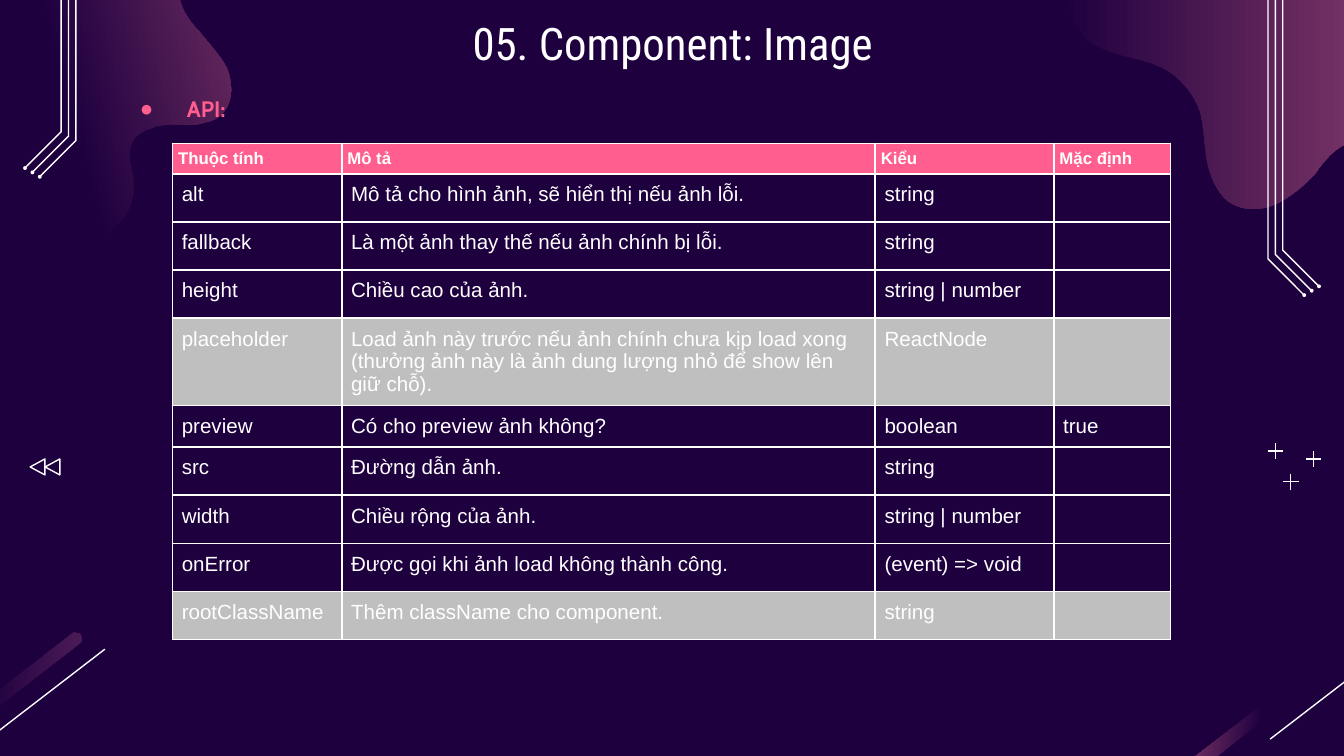
from lxml import etree
from pptx import Presentation
from pptx.dml.color import RGBColor
from pptx.enum.shapes import MSO_CONNECTOR, MSO_SHAPE
from pptx.enum.text import MSO_ANCHOR, MSO_AUTO_SIZE, PP_ALIGN
from pptx.oxml.ns import qn
from pptx.util import Pt

LEFT, CENTER = PP_ALIGN.LEFT, PP_ALIGN.CENTER
TOP, MIDDLE = MSO_ANCHOR.TOP, MSO_ANCHOR.MIDDLE
STRAIGHT, OVAL, TRIANGLE = MSO_CONNECTOR.STRAIGHT, MSO_SHAPE.OVAL, MSO_SHAPE.ISOSCELES_TRIANGLE

NIGHT, PINK, MAUVE, PLUM = "1E003F", "FF5E8E", "A64D79", "4A1A55"
WHITE, GREY = "FFFFFF", "BFBFBF"
UNIT = 0.72  # points per unit of the outlines below
CURVE_STEPS = 8

# Outlines: a start point, then curves (six numbers) and lines (two numbers)
LEFT_BLOB = [
    (48, 190), (74, 183, 86, 169, 90, 165), (98, 156, 101, 143, 99, 131),
    (98, 124, 95, 117, 97, 111), (98, 102, 106, 97, 114, 95), (115, 94, 115, 94, 116, 94),
    (124, 92, 133, 93, 142, 93), (146, 93, 150, 92, 153, 91), (158, 90, 163, 88, 166, 84),
    (174, 75, 173, 61, 169, 51), (164, 41, 155, 32, 148, 23), (140, 15, 133, 4, 133, -7),
    (133, -16, 136, -25, 143, -31), (147, -35, 153, -38, 159, -39),
    (168, -42, 179, -42, 190, -41), (201, -41, 212, -40, 223, -42),
    (225, -43, 226, -43, 228, -43), (237, -46, 246, -51, 252, -58),
    (259, -66, 261, -78, 258, -87), (256, -105, 244, -125, 233, -134),
    (215, -150, 190, -155, 167, -151), (166, -150, 165, -150, 164, -150),
    (129, -140, 103, -110, 70, -95), (65, -93, 59, -91, 54, -90),
    (22, -81, -13, -85, -47, -82), (-62, -81, -77, -78, -91, -74),
    (-104, -71, -116, -67, -128, -61), (-145, -54, -162, -44, -174, -30),
    (-186, -17, -195, 2, -194, 22), (-193, 46, -176, 68, -156, 80),
    (-135, 93, -112, 97, -88, 99), (-74, 101, -60, 101, -46, 106),
    (-32, 110, -19, 119, -13, 133), (-8, 144, -8, 155, -3, 166), (6, 184, 29, 195, 47, 190),
]
RIGHT_BLOB = [
    (1125, 38), (1125, 13, 1118, -13, 1105, -35), (1094, -54, 1078, -70, 1058, -77),
    (1036, -85, 1012, -81, 989, -84), (967, -87, 945, -97, 929, -113),
    (918, -123, 909, -135, 897, -141), (883, -148, 867, -146, 852, -143),
    (840, -140, 828, -136, 819, -129), (803, -117, 796, -97, 793, -78),
    (790, -65, 789, -51, 789, -38), (789, -31, 789, -24, 790, -18),
    (791, 0, 796, 18, 809, 30), (825, 42, 847, 42, 864, 50), (878, 57, 888, 69, 893, 83),
    (896, 94, 896, 107, 898, 119), (900, 130, 905, 143, 914, 150),
    (924, 157, 938, 157, 949, 152), (960, 147, 969, 139, 978, 130),
    (983, 123, 988, 116, 995, 111), (1002, 106, 1010, 103, 1018, 106),
    (1033, 110, 1038, 130, 1052, 138), (1085, 157, 1108, 112, 1117, 88),
    (1122, 72, 1125, 55, 1125, 38),
]
STREAK = [
    (56, 471), (57, 471, 59, 471, 60, 472), (61, 475, 61, 478, 59, 479), (-81, 588),
    (-84, 589, -87, 589, -88, 587), (-90, 585, -90, 582, -87, 580), (53, 472),
    (54, 471, 55, 470, 56, 471),
]

COLUMN_WIDTHS = [90.7, 285.8, 95.7, 62.5]
HEADER = ("Thuộc tính", "Mô tả", "Kiểu", "Mặc định")
ROW_HEIGHT = 25.8
ROWS = [
    ("alt", "Mô tả cho hình ảnh, sẽ hiển thị nếu ảnh lỗi.", "string", ""),
    ("fallback", "Là một ảnh thay thế nếu ảnh chính bị lỗi.", "string", ""),
    ("height", "Chiều cao của ảnh.", "string | number", ""),
    ("placeholder", "Load ảnh này trước nếu ảnh chính chưa kịp load xong (thưởng ảnh này là "
     "ảnh dung lượng nhỏ để show lên giữ chỗ).", "ReactNode", ""),
    ("preview", "Có cho preview ảnh không?", "boolean", "true"),
    ("src", "Đường dẫn ảnh.", "string", ""),
    ("width", "Chiều rộng của ảnh.", "string | number", ""),
    ("onError", "Được gọi khi ảnh load không thành công.", "(event) => void", ""),
    ("rootClassName", "Thêm className cho component.", "string", ""),
]
SPECIAL_HEIGHTS = {"placeholder": 46.6, "preview": 22.2}
GREY_ROWS = {"placeholder", "rootClassName"}


def color(value):
    return RGBColor.from_string(value)


def add_text(paragraph, text, size=11, font="Arial", fill=WHITE, bold=False, align=LEFT):
    paragraph.alignment = align
    run = paragraph.add_run()
    run.text = text
    run.font.size, run.font.name, run.font.bold = Pt(size), font, bold
    run.font.color.rgb = color(fill)


def outline_points(outline, shift):
    points = [outline[0]]
    for segment in outline[1:]:
        if len(segment) == 2:
            points.append(segment)
            continue
        x0, y0 = points[-1]
        x1, y1, x2, y2, x3, y3 = segment
        for step in range(1, CURVE_STEPS + 1):
            t = step / CURVE_STEPS
            a, b, c, d = (1 - t) ** 3, 3 * t * (1 - t) ** 2, 3 * t * t * (1 - t), t ** 3
            points.append((a * x0 + b * x1 + c * x2 + d * x3, a * y0 + b * y1 + c * y2 + d * y3))
    return [((x + shift) * UNIT, y * UNIT) for x, y in points]


def add_freeform(slide, points, close=True):
    points = [(Pt(x), Pt(y)) for x, y in points]
    builder = slide.shapes.build_freeform(*points[0])
    builder.add_line_segments(points[1:], close=close)
    shape = builder.convert_to_shape()
    shape.shadow.inherit = False
    return shape


def add_gradient_outline(slide, outline, angle, middle=0.5, end=MAUVE, shift=0):
    shape = add_freeform(slide, outline_points(outline, shift))
    shape.line.fill.background()
    shape.fill.gradient()
    shape.fill.gradient_angle = angle
    for stop, position, value in zip(shape.fill.gradient_stops, (middle, 1), (NIGHT, end)):
        stop.position = position
        stop.color.rgb = color(value)


def set_white_line(shape):
    shape.line.color.rgb = color(WHITE)
    shape.line.width = Pt(0.75)


def add_line(slide, x1, y1, x2, y2):
    line = slide.shapes.add_connector(STRAIGHT, Pt(x1), Pt(y1), Pt(x2), Pt(y2))
    set_white_line(line)
    etree.SubElement(line.element.spPr, qn("a:effectLst"))


def add_circuit(slide, mirrored, rise):
    """Three parallel tracks that bend outwards and end in dots."""
    for index in range(3):
        x, bend = 687.2 - 3.95 * index, 134 + 2.35 * index
        track = [(x, -85.7), (x, bend), (x + 19.4, bend + 19.4)]
        track = [(720 - px if mirrored else px, py - rise) for px, py in track]
        shape = add_freeform(slide, track, close=False)
        shape.fill.background()
        set_white_line(shape)
        end_x, end_y = track[-1]
        dot = slide.shapes.add_shape(OVAL, Pt(end_x - 1), Pt(end_y - 1), Pt(2), Pt(2))
        dot.shadow.inherit = False
        dot.fill.solid()
        dot.fill.fore_color.rgb = color(WHITE)
        dot.line.fill.background()


def add_decoration(slide):
    # Gradient blobs and corner streaks
    add_gradient_outline(slide, LEFT_BLOB, 15)
    add_gradient_outline(slide, RIGHT_BLOB, 0, middle=0)
    for shift, angle, end in ((0, 0, PLUM), (954, 173, MAUVE)):
        add_gradient_outline(slide, STREAK, angle, end=end, shift=shift)
        offset = shift * UNIT
        add_line(slide, 56.2 + offset, 347.8, -6.5 + offset, 396)
    # Circuit tracks
    add_circuit(slide, mirrored=False, rise=0)
    add_circuit(slide, mirrored=True, rise=63.4)
    # Plus signs
    for x, y in ((691.5, 258.1), (703.6, 245.9), (683.3, 241.6)):
        add_line(slide, x - 4.2, y, x + 4.2, y)
        add_line(slide, x, y - 4.2, x, y + 4.2)
    # Rewind arrows
    for x in (15.8, 23.8):
        arrow = slide.shapes.add_shape(TRIANGLE, Pt(x), Pt(246.2), Pt(8.6), Pt(7.9))
        arrow.rotation = 270
        arrow.shadow.inherit = False
        arrow.fill.background()
        set_white_line(arrow)


def place_placeholder(shape, left, top, width, height, anchor):
    shape.left, shape.top, shape.width, shape.height = Pt(left), Pt(top), Pt(width), Pt(height)
    frame = shape.text_frame
    frame.word_wrap, frame.auto_size, frame.vertical_anchor = True, MSO_AUTO_SIZE.NONE, anchor
    frame.margin_left = frame.margin_right = frame.margin_top = frame.margin_bottom = Pt(7.2)
    shape.element.getparent().append(shape.element)  # bring in front of the decoration
    paragraph = frame.paragraphs[0]
    paragraph.space_before = Pt(0)
    return paragraph


def add_bullet(paragraph, character, value):
    properties = paragraph._p.get_or_add_pPr()
    properties.set("marL", str(Pt(36)))
    properties.set("indent", str(Pt(-25.2)))
    bullet_color = etree.SubElement(properties, qn("a:buClr"))
    etree.SubElement(bullet_color, qn("a:srgbClr"), val=value)
    etree.SubElement(properties, qn("a:buChar"), char=character)


def format_cell(cell, text, fill, inset, **text_format):
    properties = cell._tc.get_or_add_tcPr()
    for side in ("lnL", "lnR", "lnT", "lnB"):
        border = etree.SubElement(properties, qn("a:" + side), w=str(Pt(1)))
        etree.SubElement(etree.SubElement(border, qn("a:solidFill")), qn("a:srgbClr"), val=WHITE)
    if fill:
        cell.fill.solid()
        cell.fill.fore_color.rgb = color(fill)
    else:
        cell.fill.background()
    cell.margin_left = cell.margin_right = Pt(inset)
    cell.margin_top = cell.margin_bottom = Pt(inset if text else 0)
    if text:
        add_text(cell.text_frame.paragraphs[0], text, **text_format)


def add_api_table(slide):
    heights = [16.3] + [SPECIAL_HEIGHTS.get(row[0], ROW_HEIGHT) for row in ROWS]
    table = slide.shapes.add_table(len(heights), len(HEADER), Pt(92.4), Pt(76.8),
                                   Pt(sum(COLUMN_WIDTHS)), Pt(sum(heights))).table
    table.first_row = table.horz_banding = False
    for column, width in zip(table.columns, COLUMN_WIDTHS):
        column.width = Pt(width)
    for row, height in zip(table.rows, heights):
        row.height = Pt(height)
    for cell, text in zip(table.rows[0].cells, HEADER):
        format_cell(cell, text, PINK, 3, size=9, bold=True)
    for index, texts in enumerate(ROWS, start=1):
        fill = GREY if texts[0] in GREY_ROWS else None
        for cell, text in zip(table.rows[index].cells, texts):
            format_cell(cell, text, fill, 5)


def main():
    presentation = Presentation()
    presentation.slide_width, presentation.slide_height = Pt(720), Pt(405)
    slide = presentation.slides.add_slide(presentation.slide_layouts[0])
    slide.background.fill.solid()
    slide.background.fill.fore_color.rgb = color(NIGHT)
    add_decoration(slide)
    # Section label and title
    label = place_placeholder(slide.placeholders[1], 56.9, 36.7, 584.6, 31, TOP)
    add_bullet(label, "●", PINK)
    label.line_spacing = 1.5
    add_text(label, "API:", size=12, font="Cabin", fill=PINK, bold=True)
    title = place_placeholder(slide.shapes.title, 56.9, 0, 607, 45.4, MIDDLE)
    add_text(title, "05. Component: Image", size=24, font="Roboto Condensed", align=CENTER)
    add_api_table(slide)
    presentation.save("out.pptx")


if __name__ == "__main__":
    main()
